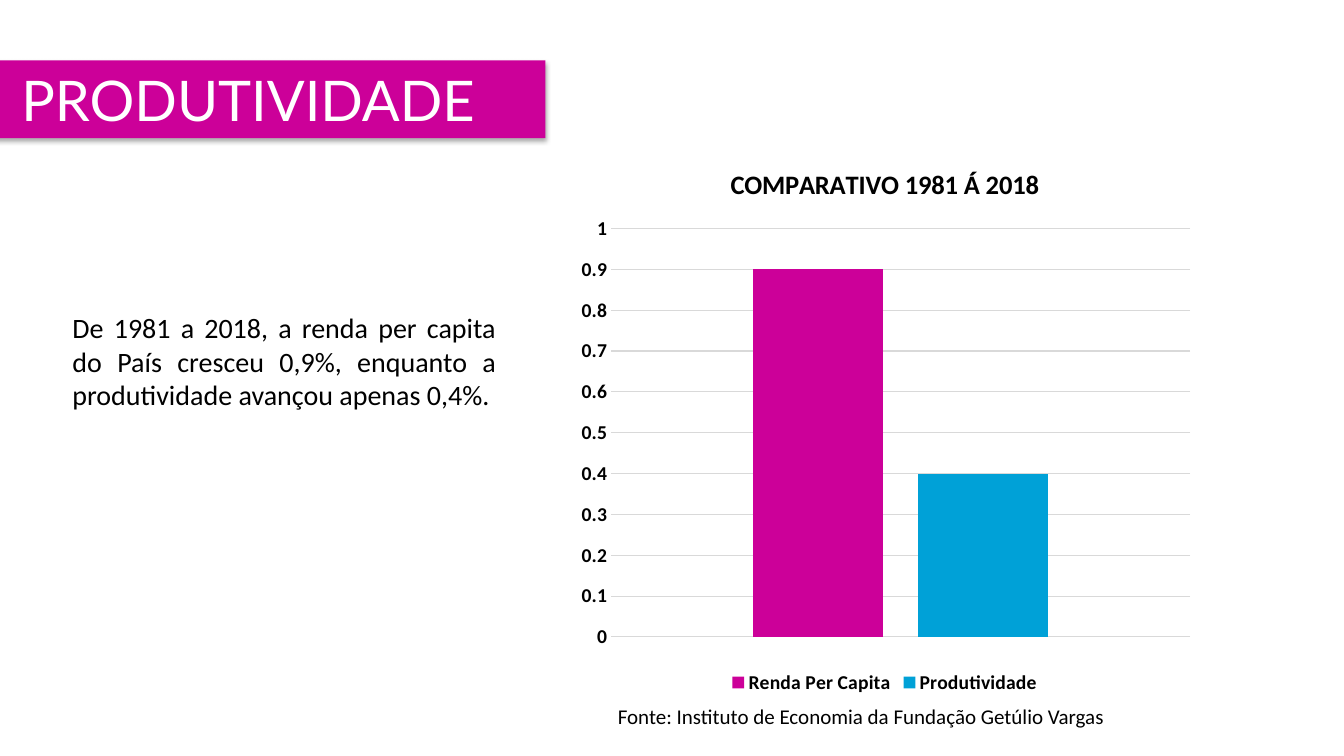
from lxml import etree
from pptx import Presentation
from pptx.chart.data import CategoryChartData
from pptx.dml.color import RGBColor
from pptx.enum.chart import XL_CHART_TYPE as CT, XL_LEGEND_POSITION as LP, XL_TICK_MARK as TM
from pptx.enum.shapes import MSO_SHAPE as SHAPE
from pptx.enum.text import MSO_ANCHOR as ANCHOR, PP_ALIGN as AL
from pptx.oxml import parse_xml
from pptx.oxml.ns import nsdecls, qn
from pptx.util import Emu, Pt

PX = 9144
MAGENTA, BLUE, BLACK, WHITE, GRID = "CC0099", "00A1D7", "000000", "FFFFFF", "D9D9D9"


def rgb(value):
    return RGBColor.from_string(value)


def style(font, size, color=BLACK, bold=False, name="Calibri"):
    font.size, font.bold, font.name = Pt(size), bold, name
    font.color.rgb = rgb(color)


def write(tf, text, align=AL.LEFT, anchor=ANCHOR.TOP, wrap=True, **fmt):
    tf.word_wrap, tf.vertical_anchor = wrap, anchor
    p = tf.paragraphs[0]
    p.alignment = align
    r = p.add_run()
    r.text = text
    style(r.font, **fmt)


def place(parent, **fractions):
    for old in parent.findall(qn("c:layout")):
        parent.remove(old)
    layout = etree.Element(qn("c:layout"))
    manual = etree.SubElement(layout, qn("c:manualLayout"))
    if "w" in fractions:
        etree.SubElement(manual, qn("c:layoutTarget")).set("val", "inner")
    for key in "xy":
        etree.SubElement(manual, qn(f"c:{key}Mode")).set("val", "edge")
    for key, value in fractions.items():
        etree.SubElement(manual, qn(f"c:{key}")).set("val", str(value))
    text = parent.find(qn("c:tx"))
    parent.insert(0 if text is None else 1, layout)


class Deck:
    """Holds the presentation style and the current slide."""

    def __init__(self, width, height):
        self.prs = Presentation()
        self.prs.slide_width, self.prs.slide_height = self.emu(width, height)
        self.s = self.prs.slides.add_slide(self.prs.slide_layouts[6])

    def emu(self, *lengths):
        return [Emu(n * PX) for n in lengths]

    def banner(self, box, text, fill):
        sp = self.s.shapes.add_shape(SHAPE.RECTANGLE, *self.emu(*box))
        sp.shadow.inherit = False
        sp.fill.solid()
        sp.fill.fore_color.rgb = rgb(fill)
        sp.line.fill.background()
        effects = sp._element.spPr.find(qn("a:effectLst"))
        effects.append(parse_xml(
            f'<a:outerShdw {nsdecls("a")} blurRad="{Pt(3.5)}" dist="{Pt(2.2)}" dir="5400000" '
            'rotWithShape="0"><a:srgbClr val="000000"><a:alpha val="32000"/></a:srgbClr></a:outerShdw>'))
        write(sp.text_frame, text, align=AL.CENTER, anchor=ANCHOR.MIDDLE,
              size=40, color=WHITE, name="Lato")

    def text(self, box, text, **fmt):
        write(self.s.shapes.add_textbox(*self.emu(*box)).text_frame, text, **fmt)

    def columns(self, box, title, series):
        data = CategoryChartData()
        data.categories = ["1"]
        for name, value, _ in series:
            data.add_series(name, [value])
        chart = self.s.shapes.add_chart(CT.COLUMN_CLUSTERED, *self.emu(*box), data).chart
        style(chart.font, 10)
        chart.has_title = True
        write(chart.chart_title.text_frame, title, align=AL.CENTER, size=19, bold=True)
        place(chart.chart_title._element, x=0.25, y=0.04)
        place(chart._chartSpace.chart.plotArea, x=0.07, y=0.16, w=0.91, h=0.73)
        chart.has_legend = True
        chart.legend.position, chart.legend.include_in_layout = LP.BOTTOM, False
        style(chart.legend.font, 14, bold=True)
        chart.category_axis.visible = False
        axis = chart.value_axis
        axis.minimum_scale, axis.maximum_scale, axis.major_unit = 0, 1, 0.1
        axis.major_tick_mark = axis.minor_tick_mark = TM.NONE
        axis.format.line.fill.background()
        style(axis.tick_labels.font, 14, bold=True)
        grid = axis.major_gridlines.format.line
        grid.width, grid.color.rgb = Pt(0.75), rgb(GRID)
        plot = chart.plots[0]
        plot.gap_width, plot.overlap, plot.vary_by_categories = 219, -27, False
        for bar, (_, _, color) in zip(plot.series, series):
            bar.format.fill.solid()
            bar.format.fill.fore_color.rgb = rgb(color)


def main():
    deck = Deck(1333, 750)
    deck.banner((-49, 60, 590, 77), "PRODUTIVIDADE", MAGENTA)
    deck.columns((562, 138, 631, 555), "COMPARATIVO 1981 Á 2018",
                 [("Renda Per Capita", 0.9, MAGENTA), ("Produtividade", 0.4, BLUE)])
    deck.text((62, 303, 440, 145),
              "De 1981 a 2018, a renda per capita do País cresceu 0,9%, "
              "enquanto a produtividade avançou apenas 0,4%.", align=AL.JUSTIFY, size=20)
    deck.text((603, 693, 507, 35), "Fonte: Instituto de Economia da Fundação Getúlio Vargas",
              wrap=False, size=15)
    deck.prs.save("out.pptx")


if __name__ == "__main__":
    main()
